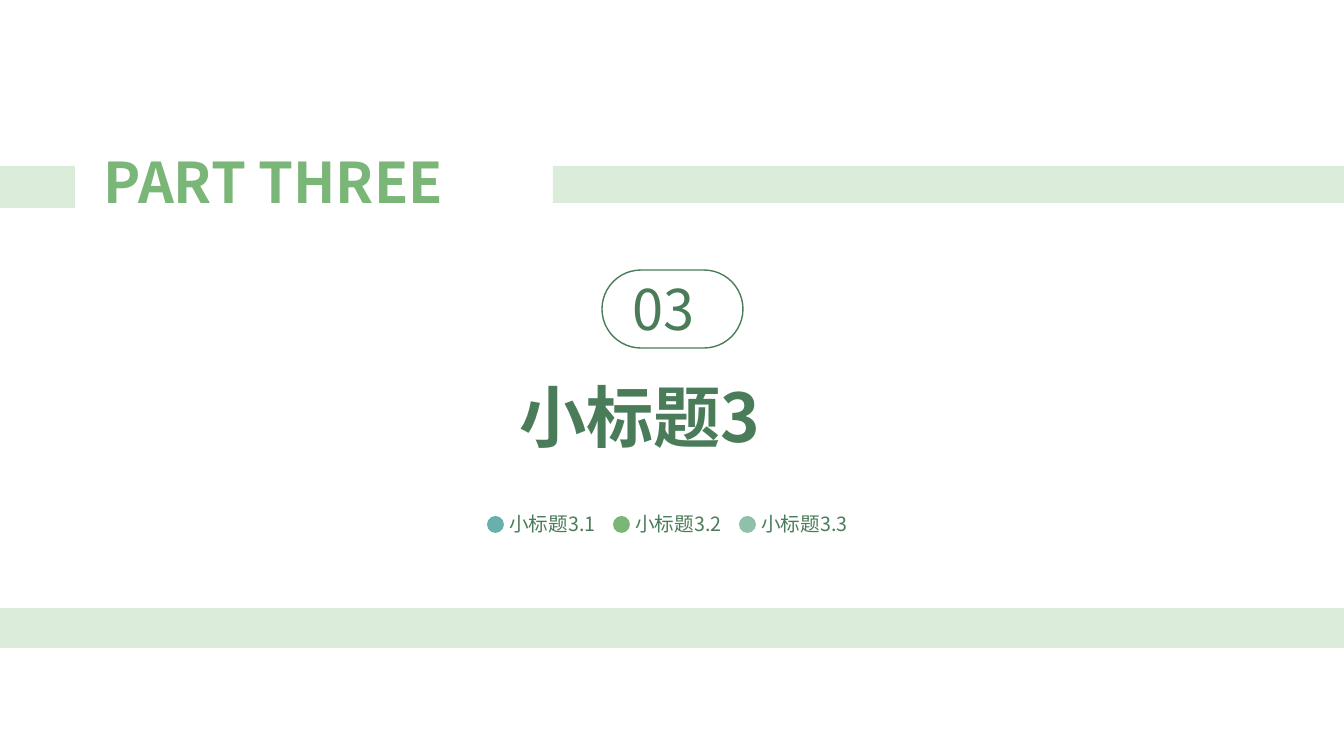
from dataclasses import dataclass

from pptx import Presentation
from pptx.dml.color import RGBColor
from pptx.enum.shapes import MSO_SHAPE as Kind
from pptx.enum.text import MSO_ANCHOR as Anchor, MSO_AUTO_SIZE as Fit, PP_ALIGN as Align
from pptx.oxml.ns import qn
from pptx.util import Pt

SCALE = 914400 / 100.8  # EMU in one px
WIDTH, HEIGHT = 1344, 756


@dataclass(frozen=True)
class Theme:
    font: str = "Noto Sans CJK SC"
    green: str = "7AB677"
    dark: str = "4A7C59"
    white: str = "FFFFFF"
    dots: tuple = ("68B0AC", "7AB677", "90C0AA")
    head: int = 48
    large: int = 40
    small: int = 14


def px(*sizes):
    return [round(size * SCALE) for size in sizes]


class Board:
    def __init__(self, slide, theme):
        self.slide = slide
        self.theme = theme

    def shape(self, kind, box, fill=None, alpha=None, line=None, bend=None):
        item = self.slide.shapes.add_shape(kind, *px(*box))
        item.shadow.inherit = False
        if bend is not None:
            item.adjustments[0] = bend
        if fill:
            item.fill.solid()
            item.fill.fore_color.rgb = RGBColor.from_string(fill)
        else:
            item.fill.background()
        if alpha:
            color = item._element.spPr.find(".//" + qn("a:srgbClr"))
            color.append(color.makeelement(qn("a:alpha"), {"val": str(alpha * 1000)}))
        if line:
            item.line.color.rgb = RGBColor.from_string(line)
            item.line.width = Pt(1)
        else:
            item.line.fill.background()

    def band(self, *box):
        self.shape(Kind.RECTANGLE, box, self.theme.green, alpha=26)

    def label(self, item, words, size, color, bold=False, align=Align.JUSTIFY):
        frame = item.text_frame
        frame.word_wrap = True
        frame.auto_size = Fit.NONE
        frame.vertical_anchor = Anchor.TOP
        par = frame.paragraphs[0]
        par.alignment = align
        run = par.add_run()
        run.text = words
        font = run.font
        font.name, font.size, font.bold = self.theme.font, Pt(size), bold
        font.color.rgb = RGBColor.from_string(color)
        props = run._r.get_or_add_rPr()
        east = props.makeelement(qn("a:ea"), {"typeface": self.theme.font})
        props.find(qn("a:latin")).addnext(east)

    def text(self, box, *args, **style):
        self.label(self.slide.shapes.add_textbox(*px(*box)), *args, **style)

    def title(self, box, *args, **style):
        item = self.slide.shapes.title
        item.left, item.top, item.width, item.height = px(*box)
        self.label(item, *args, **style)
        self.slide.shapes._spTree.append(item._element)  # bring to front


def main():
    deck = Presentation()
    deck.slide_width, deck.slide_height = px(WIDTH, HEIGHT)
    theme = Theme()
    board = Board(deck.slides.add_slide(deck.slide_layouts[5]), theme)

    # Bands and middle panel
    board.band(0, 608, WIDTH, 40)
    board.shape(Kind.ROUNDED_RECTANGLE, (0, 206, WIDTH, 402), theme.white,
                alpha=52, bend=0)
    board.band(553, 166, WIDTH - 553, 37)
    board.band(0, 166, 75, 42)

    # Part name, title and number
    board.text((94, 143, 442, 78), "PART THREE", theme.large, theme.green, bold=True)
    board.title((509, 370, 327, 92), "小标题3", theme.head, theme.dark, bold=True)
    board.text((623, 270, 99, 78), "03", theme.large, theme.dark)
    board.shape(Kind.ROUNDED_RECTANGLE, (602, 270, 141, 78), line=theme.dark, bend=0.5)

    # Topics with dots
    for i, color in enumerate(theme.dots):
        left = 487 + 126 * i
        board.text((left + 12, 507, 107, 34), f"小标题3.{i + 1}", theme.small,
                   theme.dark, align=Align.CENTER)
        board.shape(Kind.OVAL, (left, 516, 17, 17), color)

    deck.save("out.pptx")


if __name__ == "__main__":
    main()
